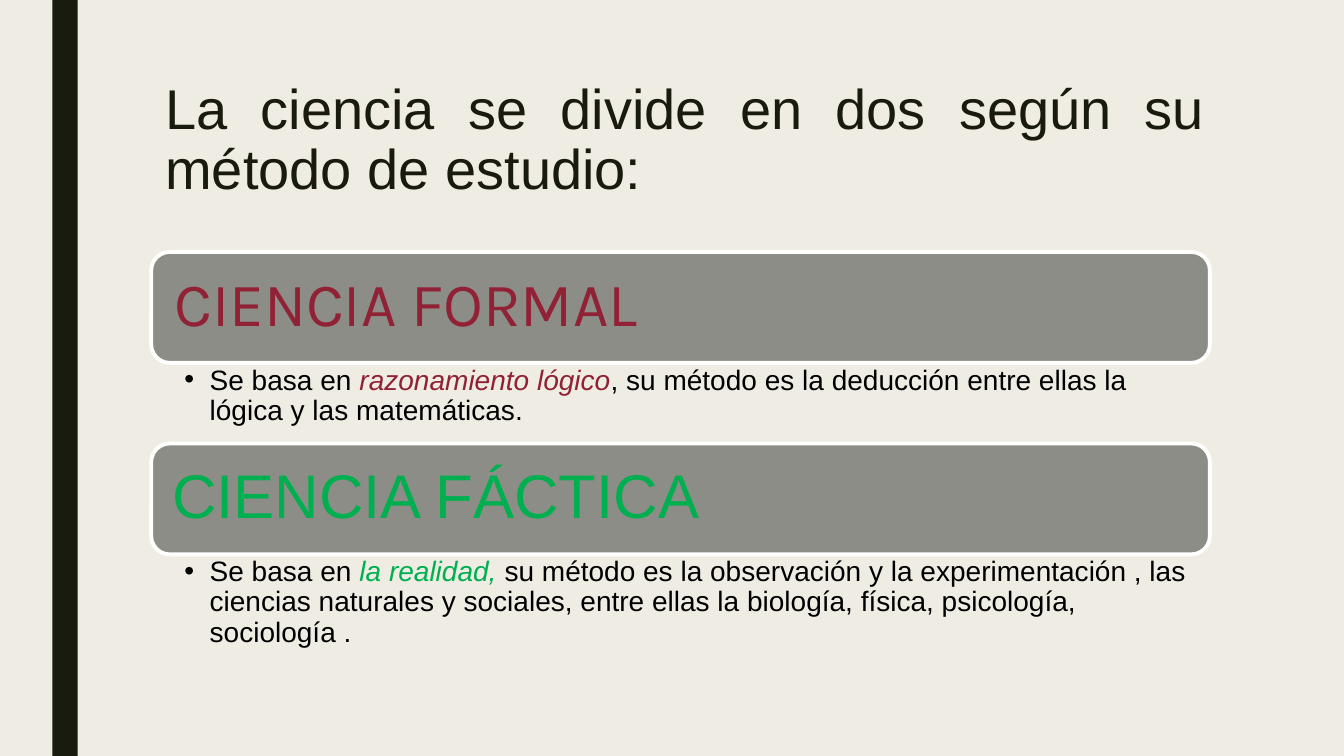
from lxml.etree import SubElement
from pptx import Presentation
from pptx.dml.color import RGBColor
from pptx.enum.shapes import MSO_SHAPE
from pptx.enum.text import MSO_ANCHOR, MSO_AUTO_SIZE, PP_ALIGN
from pptx.oxml.ns import qn
from pptx.util import Inches, Pt

HUES = {
    "back": "EFEDE3", "dark": "191B0E", "bar": "8C8D86", "edge": "FFFFFF",
    "text": "000000", "red": "912236", "green": "00B050",
}
LEFT, WIDE = 1.5, 10.5
TOP, STEP = 2.5, 1.9  # first bar and distance between bars
BAR = 1.1

# heading, font, left inset, accent, body height, body parts
TOPICS = [
    ("CIENCIA FORMAL", "Karla", 0.18, "red", 0.8,
     ("Se basa en ", "razonamiento lógico",
      ", su método es la deducción entre ellas la lógica y las matemáticas.")),
    ("CIENCIA FÁCTICA", "Arial", 0.16, "green", 0.92,
     ("Se basa en ", "la realidad, ",
      "su método es la observación y la experimentación , las ciencias "
      "naturales y sociales, entre ellas la biología, física, psicología, "
      "sociología .")),
]


def color(name):
    return RGBColor.from_string(HUES[name])


def apply(item, **values):
    for key, value in values.items():
        setattr(item, key, value)


def place(shape, left, top, width, height):
    apply(shape, left=Inches(left), top=Inches(top),
          width=Inches(width), height=Inches(height))


def set_frame(frame, left, top, right, base, anchor=MSO_ANCHOR.TOP):
    apply(frame, word_wrap=True, auto_size=MSO_AUTO_SIZE.NONE,
          vertical_anchor=anchor, margin_left=Inches(left),
          margin_top=Inches(top), margin_right=Inches(right),
          margin_bottom=Inches(base))


def add_run(para, text, size, hue, name="Arial", italic=False):
    run = para.add_run()
    run.text = text
    apply(run.font, size=Pt(size), name=name, italic=italic)
    run.font.color.rgb = color(hue)


def add_block(slide, kind, box, fill, edge=None):
    shape = slide.shapes.add_shape(kind, *map(Inches, box))
    shape.shadow.inherit = False
    shape.fill.solid()
    shape.fill.fore_color.rgb = color(fill)
    if edge:
        shape.line.color.rgb = color(edge)
        shape.line.width = Pt(2.75)
    else:
        shape.line.fill.background()


def add_title(slide, text):
    title = slide.shapes.title
    place(title, 1.54, 0.76, WIDE, 1.62)
    set_frame(title.text_frame, 0.1, 0.05, 0.1, 0.05)
    para = title.text_frame.paragraphs[0]
    apply(para, alignment=PP_ALIGN.JUSTIFY, line_spacing=0.89)
    add_run(para, text, 40, "dark")


def add_text(slide, box, insets, anchor=MSO_ANCHOR.TOP):
    frame = slide.shapes.add_textbox(*map(Inches, box)).text_frame
    set_frame(frame, *insets, anchor)
    para = frame.paragraphs[0]
    para.line_spacing = 0.9
    return para


def add_bullet(para):
    props = para._p.get_or_add_pPr()
    props.set("marL", str(Inches(0.25)))
    props.set("indent", str(-Inches(0.25)))
    SubElement(props, qn("a:buFont")).set("typeface", "Arial")
    SubElement(props, qn("a:buChar")).set("char", "•")


def add_topic(slide, top, head, name, inset, hue, height, parts):
    # Bar and heading
    add_block(slide, MSO_SHAPE.ROUNDED_RECTANGLE,
              (LEFT, top, WIDE, BAR), "bar", "edge")
    para = add_text(slide, (LEFT + 0.05, top + 0.05, WIDE - 0.11, BAR - 0.11),
                    (inset, 0.08, 0.08, 0.08), MSO_ANCHOR.MIDDLE)
    add_run(para, head, 44, hue, name)
    # Bulleted text with its middle part accented
    para = add_text(slide, (LEFT, top + BAR, WIDE, height),
                    (0.33, 0.03, 0.16, 0.03))
    add_bullet(para)
    for text, tint in zip(parts, ("text", hue, "text")):
        add_run(para, text, 20, tint, italic=tint == hue)


def main():
    deck = Presentation()
    apply(deck, slide_width=Inches(13.33), slide_height=Inches(7.5))
    slide = deck.slides.add_slide(deck.slide_layouts[5])
    # Background and side stripe
    slide.background.fill.solid()
    slide.background.fill.fore_color.rgb = color("back")
    add_block(slide, MSO_SHAPE.RECTANGLE, (0.52, 0, 0.25, 7.5), "dark")
    # Content
    add_title(slide, "La ciencia se divide en dos según su método de estudio:")
    for row, topic in enumerate(TOPICS):
        add_topic(slide, TOP + row * STEP, *topic)
    deck.save("out.pptx")


if __name__ == "__main__":
    main()
